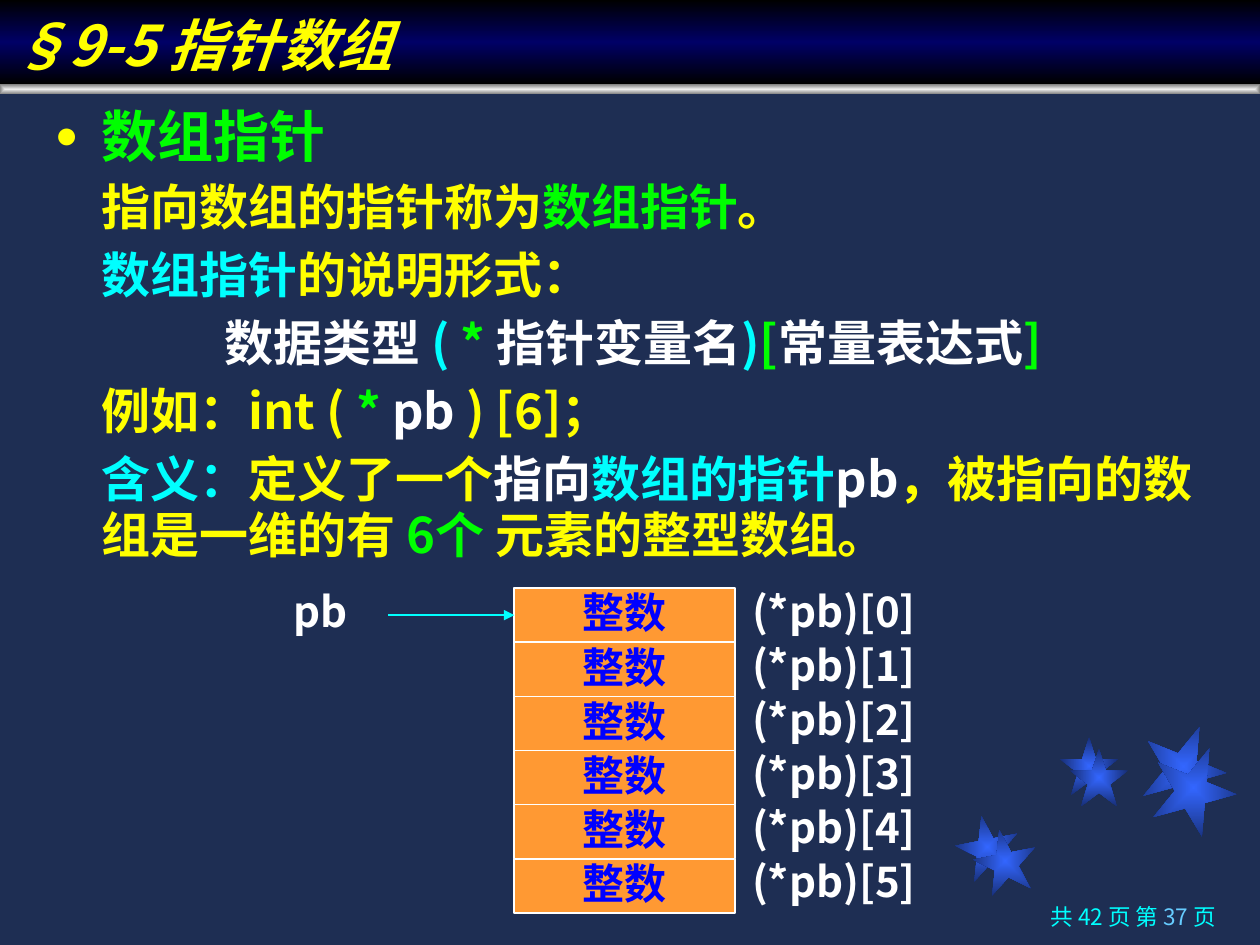
from pptx import Presentation
from pptx.dml.color import RGBColor
from pptx.enum.shapes import MSO_CONNECTOR as CONN, MSO_SHAPE as SHAPE
from pptx.enum.text import MSO_ANCHOR as ANCHOR, MSO_AUTO_SIZE as AUTO, PP_ALIGN as ALIGN
from pptx.oxml import parse_xml
from pptx.oxml.ns import nsdecls, qn
from pptx.util import Cm, Pt

CJK = "Noto Sans CJK SC"
YELLOW, GREEN, CYAN, WHITE = "FFFF00", "00FF00", "00FFFF", "FFFFFF"
CENTER_OUT = ('<a:path path="rect"><a:fillToRect l="50000" t="50000" '
              'r="50000" b="50000"/></a:path>')
DOWNWARD = '<a:lin ang="5400000" scaled="0"/>'
ROWS, ROW_H, ROW_TOP = 6, 1.09, 11.86
STARS = [(19.27, 16.44, 1.27, -11, 0.36, 0.28),
         (21.37, 14.86, 1.17, 0, 0.2, 0.23),
         (23.01, 14.6, 1.7, 22, 0.2, 0.43)]
LINES = [
    [("指向数组的指针称为", YELLOW), ("数组指针", GREEN), ("。", YELLOW)],
    [("数组指针", CYAN), ("的说明形式：", YELLOW)],
    [("数据类型 ", WHITE), ("( ", CYAN), ("* ", GREEN), ("指针变量名", WHITE),
     (")", CYAN), ("[", GREEN), ("常量表达式", WHITE), ("]", GREEN)],
    [("例如：int ( ", YELLOW), ("* ", GREEN), ("pb", WHITE), (" ) [6]；", YELLOW)],
    [("含义：", CYAN), ("定义了一个", YELLOW), ("指向", WHITE), ("数组的指针", CYAN),
     ("pb", WHITE), ("，被指向的数组是一维的有 ", YELLOW), ("6个 ", GREEN),
     ("元素的整型数组。", YELLOW)],
]


def rgb(value):
    """Turn a hex string into a colour."""
    return RGBColor.from_string(value)


def xml(tag, body="", attrs=""):
    """Make one drawing element."""
    return parse_xml(f'<a:{tag} {nsdecls("a")} {attrs}>{body}</a:{tag}>')


def place(s, x, y, w, h):
    """Move and size a shape, in centimetres."""
    s.left, s.top, s.width, s.height = Cm(x), Cm(y), Cm(w), Cm(h)


def gradient(s, stops, shade):
    """Fill a shape with (position, colour) stops."""
    s.fill.background()
    gs = "".join(f'<a:gs pos="{pos * 1000}"><a:srgbClr val="{c}"/></a:gs>'
                 for pos, c in stops)
    pr = s._element.spPr
    pr.replace(pr.find(qn("a:noFill")), xml("gradFill", f"<a:gsLst>{gs}</a:gsLst>{shade}"))


def write(p, runs, size=24, font=CJK, bold=True, italic=False,
          align=ALIGN.LEFT, spacing=1.0, before=0):
    """Write (text, colour) runs into a paragraph."""
    p.alignment, p.line_spacing, p.space_before = align, spacing, Pt(before)
    for text, color in runs:
        r = p.add_run()
        r.text = text
        f = r.font
        f.size, f.name, f.bold, f.italic = Pt(size), font, bold, italic
        f.color.rgb = rgb(color)
        r._r.rPr.append(xml("ea", attrs=f'typeface="{CJK}"'))


def indent(p, left, first=0, bullet=None):
    """Set the indents, and a bullet if one is given."""
    pr = p._p.get_or_add_pPr()
    pr.set("marL", str(Cm(left)))
    pr.set("indent", str(Cm(first)))
    if bullet:
        pr.append(xml("buClr", f'<a:srgbClr val="{YELLOW}"/>'))
        pr.append(xml("buSzPct", attrs='val="70000"'))
        pr.append(xml("buChar", attrs=f'char="{bullet}"'))
    else:
        pr.append(xml("buNone"))


def add_shape(slide, kind, x, y, w, h):
    """Add a flat preset shape without outline."""
    s = slide.shapes.add_shape(kind, Cm(x), Cm(y), Cm(w), Cm(h))
    s.shadow.inherit = False
    s.line.fill.background()
    return s


def add_label(slide, text, x, y, w):
    """Add a white label one row high."""
    tf = slide.shapes.add_textbox(Cm(x), Cm(y), Cm(w), Cm(ROW_H)).text_frame
    tf.word_wrap, tf.vertical_anchor = False, ANCHOR.MIDDLE
    write(tf.paragraphs[0], [(text, WHITE)], align=ALIGN.CENTER, spacing=0.8)


def add_cell(slide, y):
    """Add one integer cell of the array."""
    s = add_shape(slide, SHAPE.RECTANGLE, 10.37, y, 4.45, ROW_H)
    s.fill.solid()
    s.fill.fore_color.rgb = rgb("FF9933")
    s.line.color.rgb, s.line.width = rgb(WHITE), Pt(1)
    tf = s.text_frame
    tf.word_wrap, tf.vertical_anchor = False, ANCHOR.MIDDLE
    write(tf.paragraphs[0], [("整数", "0000FF")], font="Arial",
          align=ALIGN.CENTER, spacing=0.9)


def add_arrow(slide, x1, x2, y):
    """Add a horizontal arrow."""
    c = slide.shapes.add_connector(CONN.STRAIGHT, Cm(x1), Cm(y), Cm(x2), Cm(y))
    c.line.color.rgb, c.line.width = rgb(CYAN), Pt(1)
    c.line._get_or_add_ln().append(xml("tailEnd", attrs='type="triangle"'))
    c._element.spPr.append(xml("effectLst"))


def add_decor(slide):
    """Add the pairs of stars and the bar under the title."""
    for step in (0, 1):
        for x, y, size, turn, dx, dy in STARS:
            s = add_shape(slide, SHAPE.STAR_5_POINT, x + step * dx, y + step * dy, size, size)
            s.rotation = turn
            gradient(s, [(0, "3366FF"), (100, "182F76")], CENTER_OUT)
    bar = add_shape(slide, SHAPE.RECTANGLE, 0, 1.7, 25.4, 0.2)
    gradient(bar, [(0, "EDEDED"), (100, "808080")], CENTER_OUT)


def fill_title(s):
    """Format and write the title."""
    place(s, 0, 0, 25.4, 1.7)
    gradient(s, [(0, "000000"), (50, "000066"), (100, "000000")], DOWNWARD)
    tf = s.text_frame
    tf.auto_size, tf.vertical_anchor = AUTO.NONE, ANCHOR.BOTTOM
    write(tf.paragraphs[0], [("§9-5 指针数组", YELLOW)], size=32, italic=True)


def fill_body(s):
    """Write the heading and the explanation."""
    place(s, 0.85, 1.91, 23.82, 9.78)
    tf = s.text_frame
    tf.auto_size, tf.vertical_anchor = AUTO.NONE, ANCHOR.TOP
    p = tf.paragraphs[0]
    indent(p, 0.95, -0.95, "●")
    write(p, [("数组指针", GREEN)], size=32, align=ALIGN.JUSTIFY)
    for runs in LINES:
        p = tf.add_paragraph()
        centered = runs[0][1] == WHITE
        indent(p, 0.95, -0.95 if centered else 0)
        write(p, runs, size=28, spacing=0.95, before=7,
              align=ALIGN.CENTER if centered else ALIGN.LEFT)


def add_array(slide):
    """Draw the array, its labels and the pointer to it."""
    for i in range(ROWS):
        y = ROW_TOP + i * ROW_H
        add_cell(slide, y)
        add_label(slide, f"(*pb)[{i}]", 14.86, y, 3.9)
    add_arrow(slide, 7.83, 10.37, 12.4)
    add_label(slide, "pb", 5.29, ROW_TOP, 2.33)


def add_page_number(slide):
    """Add the page count at the bottom right."""
    tf = slide.shapes.add_textbox(Cm(18.08), Cm(18.14), Cm(6.68), Cm(0.91)).text_frame
    tf.word_wrap = True
    write(tf.paragraphs[0], [("共 42 页 第 ", CYAN), ("37 ", "66CCFF"), ("页", CYAN)],
          size=12.9, bold=False, align=ALIGN.RIGHT, spacing=0.9)


def main():
    """Build the slide."""
    prs = Presentation()
    prs.slide_width, prs.slide_height = Cm(25.4), Cm(19.05)
    slide = prs.slides.add_slide(prs.slide_layouts[1])
    slide.background.fill.solid()
    slide.background.fill.fore_color.rgb = rgb("1E2E53")
    add_decor(slide)
    fill_title(slide.shapes.title)
    fill_body(slide.placeholders[1])
    add_array(slide)
    add_page_number(slide)
    prs.save("out.pptx")


if __name__ == "__main__":
    main()
